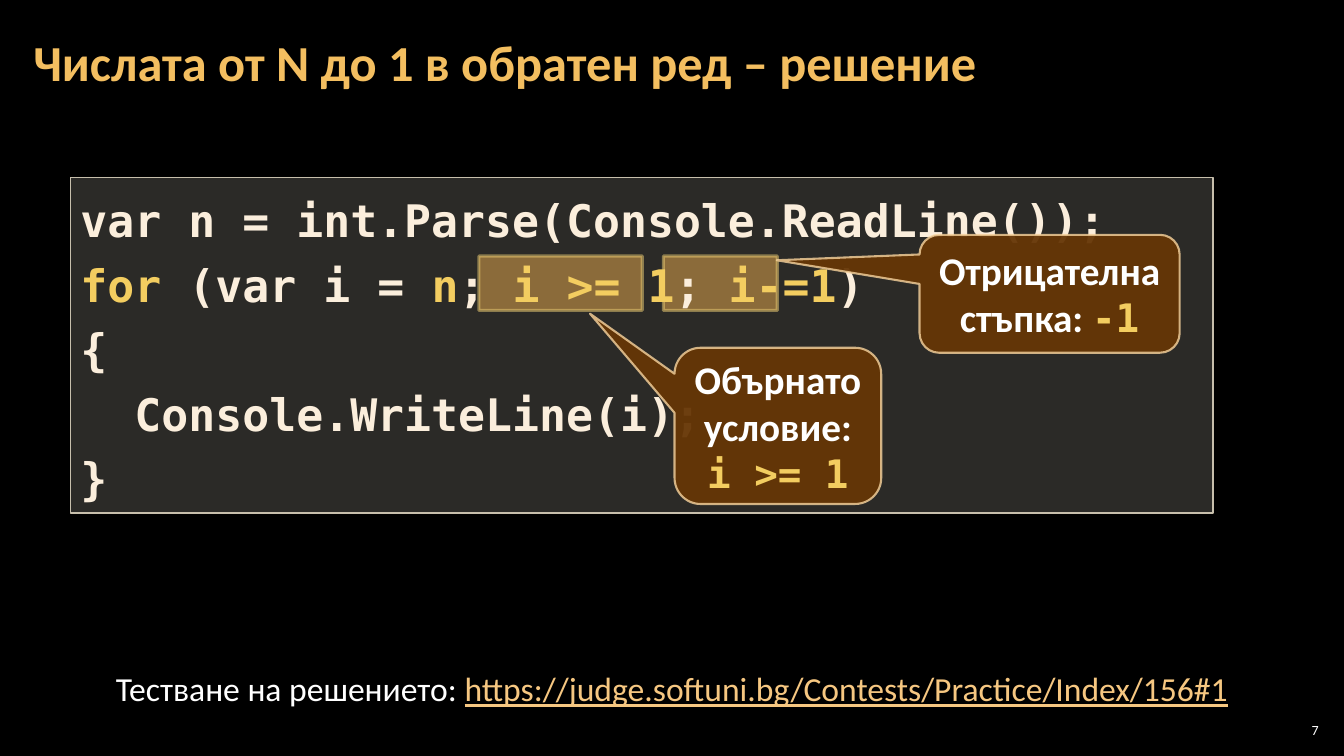
import pptx
import pptx.dml.color
import pptx.enum.shapes
import pptx.enum.text
import pptx.oxml.ns
import pptx.util
from lxml import etree

Inches = pptx.util.Inches
RGBColor = pptx.dml.color.RGBColor
Shape = pptx.enum.shapes.MSO_SHAPE
Align = pptx.enum.text.PP_ALIGN
Anchor = pptx.enum.text.MSO_ANCHOR

BLACK = RGBColor(0x00, 0x00, 0x00)
WHITE = RGBColor(0xFF, 0xFF, 0xFF)
TITLE_GOLD = RGBColor(0xF3, 0xBE, 0x60)
KEYWORD = RGBColor(0xF3, 0xCD, 0x60)
CODE_TEXT = RGBColor(0xFB, 0xEE, 0xDC)
CODE_FILL = RGBColor(0xD9, 0xD5, 0xC7)
CODE_LINE = RGBColor(0xC7, 0xBF, 0xAC)
MARK_FILL = RGBColor(0xF0, 0xA2, 0x2E)
CALLOUT_FILL = RGBColor(0x66, 0x36, 0x06)
CALLOUT_LINE = RGBColor(0xF8, 0xD4, 0x9E)
LINK = RGBColor(0xF6, 0xC7, 0x81)

BODY_FONT = "Calibri"
CODE_FONT = "DejaVu Sans Mono"
CODE_ACCENT = {"font": CODE_FONT, "color": KEYWORD}


def write_text(shape, paragraphs, size, font=BODY_FONT, color=WHITE, bold=False,
               align=Align.LEFT, anchor=Anchor.TOP, spacing=None, insets=(0.1, 0.05)):
    """Fill a shape; each paragraph is a list of (text, overrides) runs."""
    frame = shape.text_frame
    frame.word_wrap = True
    frame.auto_size = pptx.enum.text.MSO_AUTO_SIZE.NONE
    frame.vertical_anchor = anchor
    frame.margin_left = frame.margin_right = Inches(insets[0])
    frame.margin_top = frame.margin_bottom = Inches(insets[1])
    for index, runs in enumerate(paragraphs):
        paragraph = frame.add_paragraph() if index else frame.paragraphs[0]
        paragraph.alignment = align
        if spacing:
            paragraph.line_spacing = spacing
        for text, overrides in runs:
            run = paragraph.add_run()
            run.text = text
            run.font.size = pptx.util.Pt(size)
            run.font.name = overrides.get("font", font)
            run.font.color.rgb = overrides.get("color", color)
            run.font.bold = bold
            if overrides.get("underline"):
                run.font.underline = True


def set_opacity(fill_parent, percent):
    color = fill_parent.find(".//" + pptx.oxml.ns.qn("a:srgbClr"))
    alpha = etree.SubElement(color, pptx.oxml.ns.qn("a:alpha"))
    alpha.set("val", str(percent * 1000))


def add_box(slide, kind, box, fill, opacity, line, line_width, line_opacity=100):
    shape = slide.shapes.add_shape(kind, *map(Inches, box))
    shape.shadow.inherit = False
    shape.fill.solid()
    shape.fill.fore_color.rgb = fill
    shape.line.color.rgb = line
    shape.line.width = pptx.util.Pt(line_width)
    properties = shape.element.spPr
    set_opacity(properties.find(pptx.oxml.ns.qn("a:solidFill")), opacity)
    set_opacity(properties.find(pptx.oxml.ns.qn("a:ln")), line_opacity)
    return shape


def add_highlight(slide, left, width):
    add_box(slide, Shape.RECTANGLE, (left, 2.54, width, 0.54),
            MARK_FILL, 50, KEYWORD, 2.25, 50)


def add_callout(slide, box, pointer, paragraphs):
    callout = add_box(slide, Shape.ROUNDED_RECTANGULAR_CALLOUT, box,
                      CALLOUT_FILL, 95, CALLOUT_LINE, 1.5, 80)
    callout.adjustments[0], callout.adjustments[1] = pointer
    write_text(callout, paragraphs, 28, bold=True, align=Align.CENTER, anchor=Anchor.MIDDLE)


def add_label(slide, box, paragraphs, size, **options):
    write_text(slide.shapes.add_textbox(*map(Inches, box)), paragraphs, size, **options)


def add_title(slide, text):
    title = slide.shapes.title
    title.left, title.top, title.width, title.height = map(Inches, (0.21, 0.04, 10.47, 1.21))
    write_text(title, [[(text, {})]], 36, color=TITLE_GOLD, bold=True,
               anchor=Anchor.MIDDLE, spacing=0.9, insets=(0.12, 0.04))


def add_code(slide):
    keyword = {"color": KEYWORD}
    lines = [
        [("var n = int.Parse(Console.ReadLine());", {})],
        [("for", keyword), (" (var i = ", {}), ("n", keyword), ("; ", {}),
         ("i >= 1", keyword), ("; ", {}), ("i-=1", keyword), (")", {})],
        [("{", {})],
        [("  Console.WriteLine(i);", {})],
        [("}", {})],
    ]
    code = add_box(slide, Shape.RECTANGLE, (0.7, 1.76, 11.33, 3.33),
                   CODE_FILL, 20, CODE_LINE, 1)
    write_text(code, lines, 32, font=CODE_FONT, color=CODE_TEXT, bold=True, spacing=1.2)


def main():
    presentation = pptx.Presentation()
    presentation.slide_width = Inches(13.33)
    presentation.slide_height = Inches(7.5)
    slide = presentation.slides.add_slide(presentation.slide_layouts[5])
    slide.background.fill.solid()
    slide.background.fill.fore_color.rgb = BLACK

    add_title(slide, "Числата от N до 1 в обратен ред – решение")

    # Highlights lie behind the code
    add_highlight(slide, 4.75, 1.62)
    add_highlight(slide, 6.58, 1.13)
    add_code(slide)

    # Explanations of the loop parts
    add_callout(slide, (9.12, 2.33, 2.58, 1.17), (-1.049, -0.284),
                [[("Отрицателна стъпка: ", {}), ("-1", CODE_ACCENT)]])
    add_callout(slide, (6.69, 3.45, 2.05, 1.55), (-0.909, -0.718),
                [[("Обърнато условие:", {})], [("i >= 1", CODE_ACCENT)]])

    # Judge link and slide number
    add_label(slide, (0.83, 6.58, 11.67, 0.5),
              [[("Тестване на решението: ", {}),
                ("https://judge.softuni.bg/Contests/Practice/Index/156#1",
                 {"color": LINK, "underline": True})]],
              24, align=Align.CENTER)
    add_label(slide, (12.65, 7.14, 0.47, 0.21), [[("7", {})]], 10,
              align=Align.RIGHT, anchor=Anchor.MIDDLE, insets=(0.04, 0.04))

    presentation.save("out.pptx")


if __name__ == "__main__":
    main()
